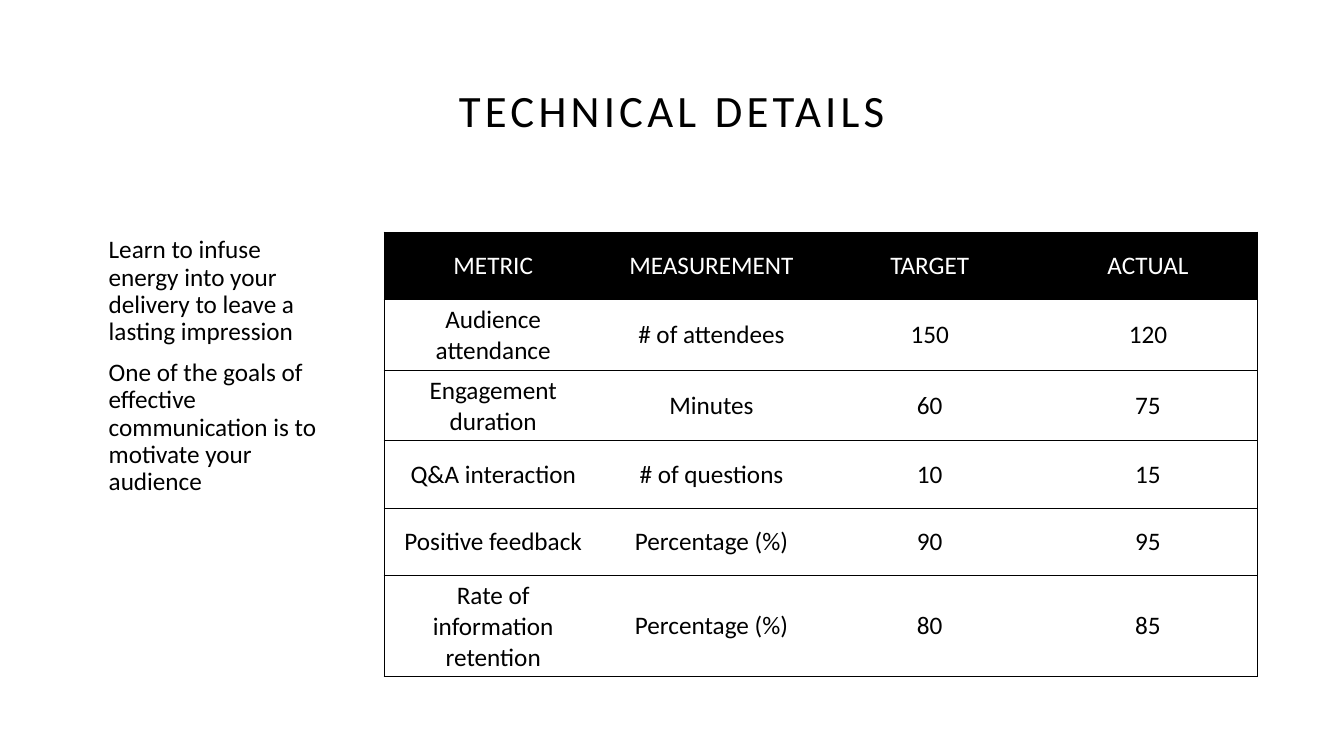
from dataclasses import dataclass

from lxml import etree
from pptx import Presentation
from pptx import util as u
from pptx.dml.color import RGBColor
from pptx.enum import text
from pptx.oxml import ns


@dataclass(frozen=True)
class Theme:
    font: str = "Calibri"
    ink: RGBColor = RGBColor(0, 0, 0)
    paper: RGBColor = RGBColor(255, 255, 255)
    title_size: int = 32
    body_size: int = 18
    title_tracking: int = 3
    rule_width: int = 1


class SlideBuilder:
    def __init__(self, slide, theme):
        self.slide = slide
        self.theme = theme

    def style(self, paragraph, size, color):
        for run in paragraph.runs:
            run.font.name = self.theme.font
            run.font.size = u.Pt(size)
            run.font.bold = False
            run.font.color.rgb = color

    def text_box(self, left, top, width, height):
        box = self.slide.shapes.add_textbox(
            u.Cm(left), u.Cm(top), u.Cm(width), u.Cm(height))
        box.text_frame.word_wrap = True
        return box.text_frame

    def title(self, wording, *place):
        frame = self.text_box(*place)
        frame.vertical_anchor = text.MSO_ANCHOR.MIDDLE
        frame.text = wording
        heading = frame.paragraphs[0]
        heading.alignment = text.PP_ALIGN.CENTER
        heading.line_spacing = 0.9
        self.style(heading, self.theme.title_size, self.theme.ink)
        tracking = str(self.theme.title_tracking * 100)
        heading.runs[0].font._element.set("spc", tracking)

    def body(self, messages, *place):
        frame = self.text_box(*place)
        frame.text = "\n".join(messages)
        for message in frame.paragraphs:
            message.line_spacing = 0.9
            message.space_before = u.Pt(10)
            self.style(message, self.theme.body_size, self.theme.ink)

    def border(self, cell, side, visible):
        properties = cell._tc.get_or_add_tcPr()
        width = u.Pt(self.theme.rule_width)
        line = etree.SubElement(properties, ns.qn(f"a:ln{side}"), w=str(width))
        if visible:
            fill = etree.SubElement(line, ns.qn("a:solidFill"))
            etree.SubElement(fill, ns.qn("a:srgbClr"), val=str(self.theme.ink))
        else:
            etree.SubElement(line, ns.qn("a:noFill"))

    def table(self, rows, left, top, column_width, row_heights):
        columns = len(rows[0])
        grid = self.slide.shapes.add_table(
            len(rows), columns, u.Cm(left), u.Cm(top),
            u.Cm(column_width * columns), u.Cm(sum(row_heights))).table
        grid.horz_banding = False
        for column in grid.columns:
            column.width = u.Cm(column_width)
        for r, (values, height) in enumerate(zip(rows, row_heights)):
            grid.rows[r].height = u.Cm(height)
            for c, value in enumerate(values):
                self.cell(grid.cell(r, c), value, r == 0, c == 0, c == columns - 1)

    def cell(self, cell, value, header, first, last):
        cell.text = value
        cell.vertical_anchor = text.MSO_ANCHOR.MIDDLE
        for side, visible in (("L", first), ("R", last), ("T", True), ("B", True)):
            self.border(cell, side, visible)
        if header:
            cell.fill.solid()
            cell.fill.fore_color.rgb = self.theme.ink
        else:
            cell.fill.background()
        label = cell.text_frame.paragraphs[0]
        label.alignment = text.PP_ALIGN.CENTER
        color = self.theme.paper if header else self.theme.ink
        self.style(label, self.theme.body_size, color)


METRICS = [
    ("METRIC", "MEASUREMENT", "TARGET", "ACTUAL"),
    ("Audience attendance", "# of attendees", "150", "120"),
    ("Engagement duration", "Minutes", "60", "75"),
    ("Q&A interaction", "# of questions", "10", "15"),
    ("Positive feedback", "Percentage (%)", "90", "95"),
    ("Rate of information retention", "Percentage (%)", "80", "85"),
]

MESSAGES = [
    "Learn to infuse energy into your delivery to leave a lasting impression",
    "One of the goals of effective communication is to motivate your audience",
]


def main():
    deck = Presentation()
    deck.slide_width = u.Cm(33.87)
    deck.slide_height = u.Cm(19.05)
    builder = SlideBuilder(deck.slides.add_slide(deck.slide_layouts[6]), Theme())
    builder.title("TECHNICAL DETAILS", 2.33, 1.02, 29.21, 3.68)
    builder.body(MESSAGES, 2.49, 5.85, 5.74, 10.08)
    builder.table(METRICS, 9.68, 5.85, 5.5, [1.7] * 5 + [2.18])
    deck.save("out.pptx")


if __name__ == "__main__":
    main()
